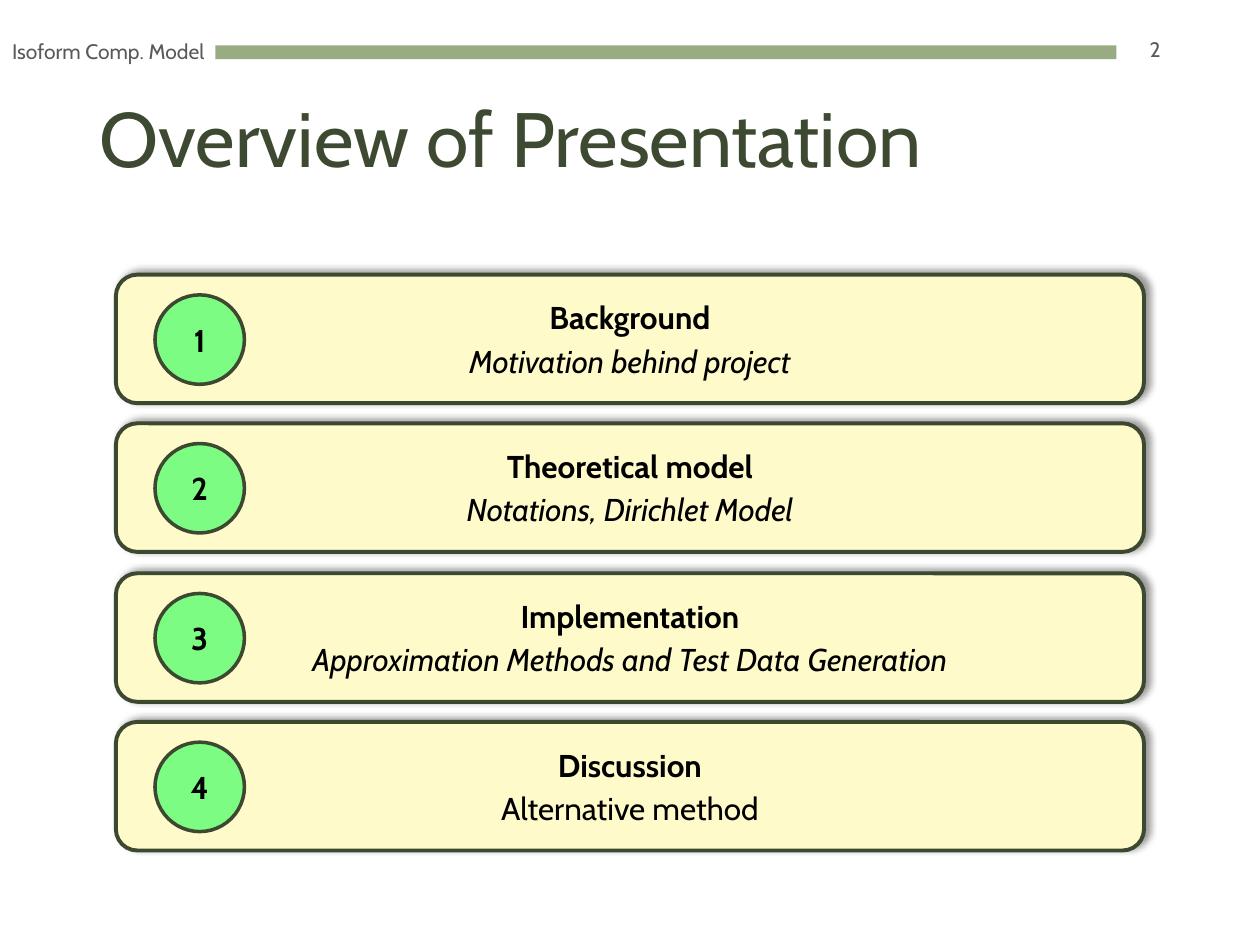
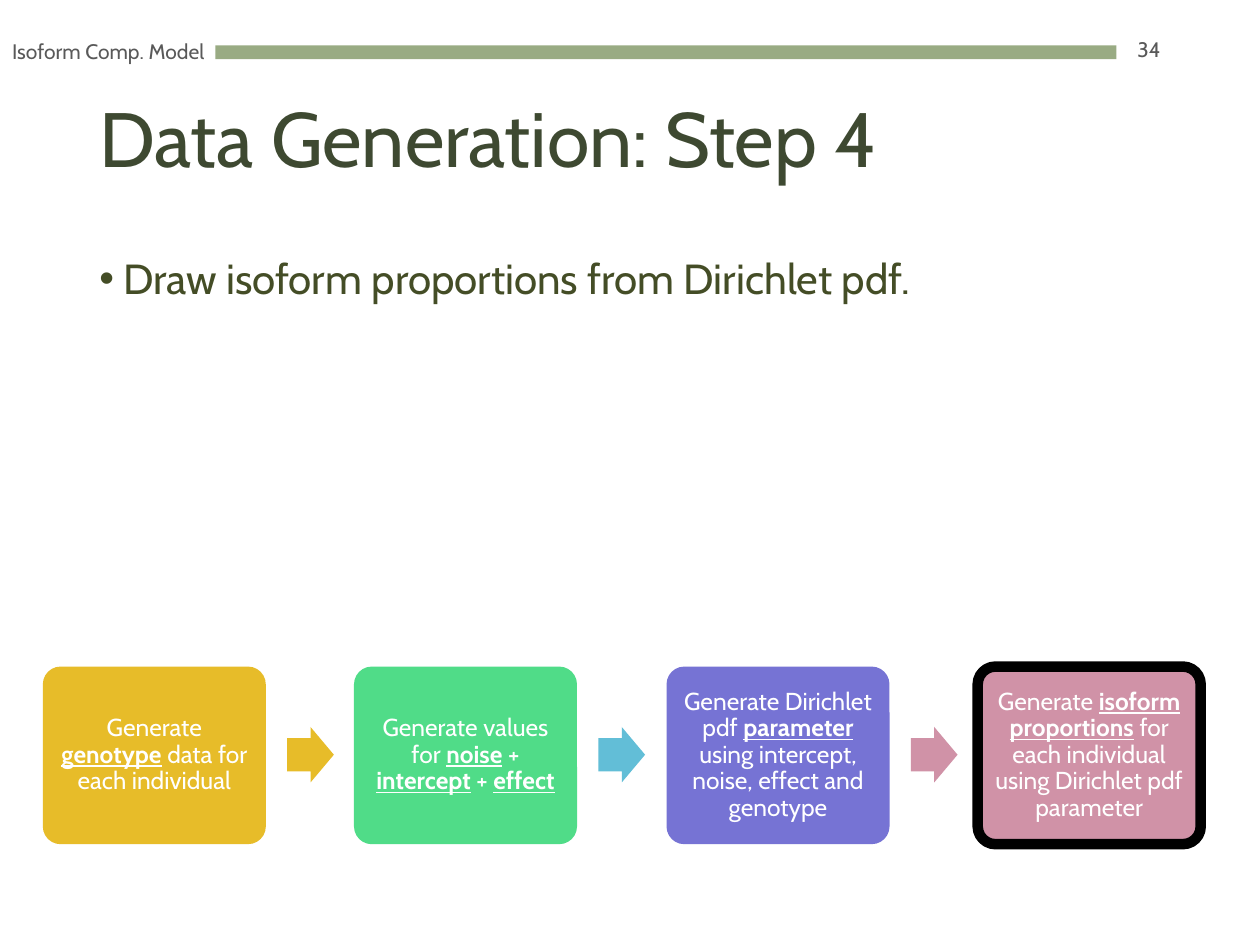
from lxml import etree
from pptx import Presentation
from pptx.dml.color import RGBColor
from pptx.enum.shapes import MSO_SHAPE as Shape
from pptx.enum.text import MSO_ANCHOR as Anchor, PP_ALIGN as Align
from pptx.oxml.ns import qn
from pptx.util import Pt

PX = 9144  # EMU per px, 100 px to the inch
FONT = "Cabin"
WHITE = RGBColor(0xFF, 0xFF, 0xFF)
BLACK = RGBColor(0x00, 0x00, 0x00)
BAND = RGBColor(0x99, 0xAB, 0x83)
TITLE = RGBColor(0x3E, 0x49, 0x31)
HEADER = RGBColor(0x59, 0x59, 0x59)
BODY = RGBColor(0x44, 0x4D, 0x26)
OUTLINE = RGBColor(0x3D, 0x48, 0x31)
CREAM = RGBColor(0xFE, 0xFA, 0xC9)
MINT = RGBColor(0x7C, 0xFC, 0x82)
YELLOW = RGBColor(0xE7, 0xBC, 0x29)
GREEN = RGBColor(0x50, 0xDC, 0x88)
BLUE = RGBColor(0x62, 0xBE, 0xD7)
VIOLET = RGBColor(0x76, 0x73, 0xD4)
PINK = RGBColor(0xD0, 0x92, 0xA7)


def add_box(page, kind, left, top, width, height, fill=None, line=None, weight=0):
    """Add a preset shape, or a text box when kind is None."""
    place = [n * PX for n in (left, top, width, height)]
    if kind is None:
        box = page.shapes.add_textbox(*place)
    else:
        box = page.shapes.add_shape(kind, *place)
        box.shadow.inherit = False
        box.fill.solid()
        box.fill.fore_color.rgb = fill
        if line is None:
            box.line.fill.background()
        else:
            box.line.color.rgb = line
            box.line.width = Pt(weight)
    box.text_frame.word_wrap = True
    box.text_frame.vertical_anchor = Anchor.MIDDLE
    return box


def add_text(box, paragraphs, size, color, align=Align.CENTER, spacing=None, before=None):
    """Write paragraphs, each a list of (text, style); style letters are b, i, u."""
    frame = box.text_frame
    for index, runs in enumerate(paragraphs):
        para = frame.add_paragraph() if index else frame.paragraphs[0]
        para.alignment = align
        if spacing:
            para.line_spacing = spacing
        if before:
            para.space_before = Pt(before)
        for text, style in runs:
            span = para.add_run()
            span.text = text
            font = span.font
            font.name, font.size = FONT, Pt(size)
            font.color.rgb = color
            font.bold, font.italic, font.underline = (key in style for key in "biu")


deck = Presentation()
deck.slide_width, deck.slide_height = 1000 * PX, 750 * PX

# Shared header: band, title, page number, running head
pages = []
for title, number in [("Overview of Presentation", "2"), ("Data Generation: Step 4", "34")]:
    page = deck.slides.add_slide(deck.slide_layouts[6])
    add_box(page, Shape.RECTANGLE, 171, 36, 715, 11, BAND)
    add_text(add_box(page, None, 69, 41, 862, 145), [[(title, "")]], 44, TITLE, Align.LEFT, 0.9)
    add_text(add_box(page, None, 885, 19, 46, 40), [[(number, "")]], 12, HEADER, Align.RIGHT)
    add_text(add_box(page, None, -9, 21, 190, 40), [[("Isoform Comp. Model", "")]], 12, HEADER)
    pages.append(page)
overview, generation = pages

# Overview: four numbered section cards
sections = [
    ("Background", "Motivation behind project", "i"),
    ("Theoretical model", "Notations, Dirichlet Model", "i"),
    ("Implementation", "Approximation Methods and Test Data Generation", "i"),
    ("Discussion", "Alternative method", ""),
]
for index, (heading, detail, style) in enumerate(sections):
    top = 218 + round(index * 355 / 3)
    card = add_box(overview, Shape.ROUNDED_RECTANGLE, 92, top, 816, 102, CREAM, OUTLINE, 2.25)
    add_text(card, [[(heading, "b")], [(detail, style)]], 18, BLACK, before=3)
    effects = card.element.spPr.find(qn("a:effectLst"))
    shadow = etree.SubElement(effects, qn("a:outerShdw"), blurRad=str(Pt(4)), dist=str(Pt(3)),
                              dir=str(315 * 60000), algn="ctr", rotWithShape="0")
    tint = etree.SubElement(shadow, qn("a:srgbClr"), val=str(BLACK))
    etree.SubElement(tint, qn("a:alpha"), val="40000")
    badge = add_box(overview, Shape.OVAL, 123, top + 16, 71, 71, MINT, OUTLINE, 2)
    add_text(badge, [[(str(index + 1), "b")]], 18, BLACK)

# Data generation: bullet
body = add_box(generation, None, 69, 200, 862, 476)
body.text_frame.vertical_anchor = Anchor.TOP
add_text(body, [[("Draw isoform proportions from Dirichlet pdf.", "")]], 24, BODY,
         Align.LEFT, 0.9, 7.5)
properties = body.text_frame.paragraphs[0]._p.get_or_add_pPr()
properties.set("marL", str(19 * PX))
properties.set("indent", str(-19 * PX))
etree.SubElement(properties, qn("a:buFont"), typeface="Arial")
etree.SubElement(properties, qn("a:buChar"), char="•")

# Data generation: process steps, each with the colour of the arrow after it
steps = [
    (YELLOW, YELLOW, [("Generate ", ""), ("genotype", "bu"), (" data for each individual", "")]),
    (GREEN, BLUE, [("Generate values for ", ""), ("noise", "bu"), (" + ", ""),
                   ("intercept", "bu"), (" + ", ""), ("effect", "bu")]),
    (VIOLET, PINK, [("Generate Dirichlet pdf ", ""), ("parameter", "bu"),
                    (" using intercept, noise, effect and genotype", "")]),
    (PINK, None, [("Generate ", ""), ("isoform", "bu"), (" ", ""), ("proportions", "bu"),
                  (" for each individual using Dirichlet pdf parameter", "")]),
]
for index, (fill, arrow_fill, runs) in enumerate(steps):
    left = 34 + round(index * 742 / 3)
    current = arrow_fill is None
    step = add_box(generation, Shape.ROUNDED_RECTANGLE, left, 529, 177, 141, fill,
                   BLACK if current else None, 6)
    step.adjustments[0] = 0.1
    frame = step.text_frame
    frame.margin_left = frame.margin_right = frame.margin_top = frame.margin_bottom = 8 * PX
    add_text(step, [runs], 14, WHITE, spacing=0.9)
    if not current:
        arrow = add_box(generation, Shape.RIGHT_ARROW, left + 194, 577, 37, 44, arrow_fill)
        arrow.adjustments[0] = 0.6

deck.save("out.pptx")
